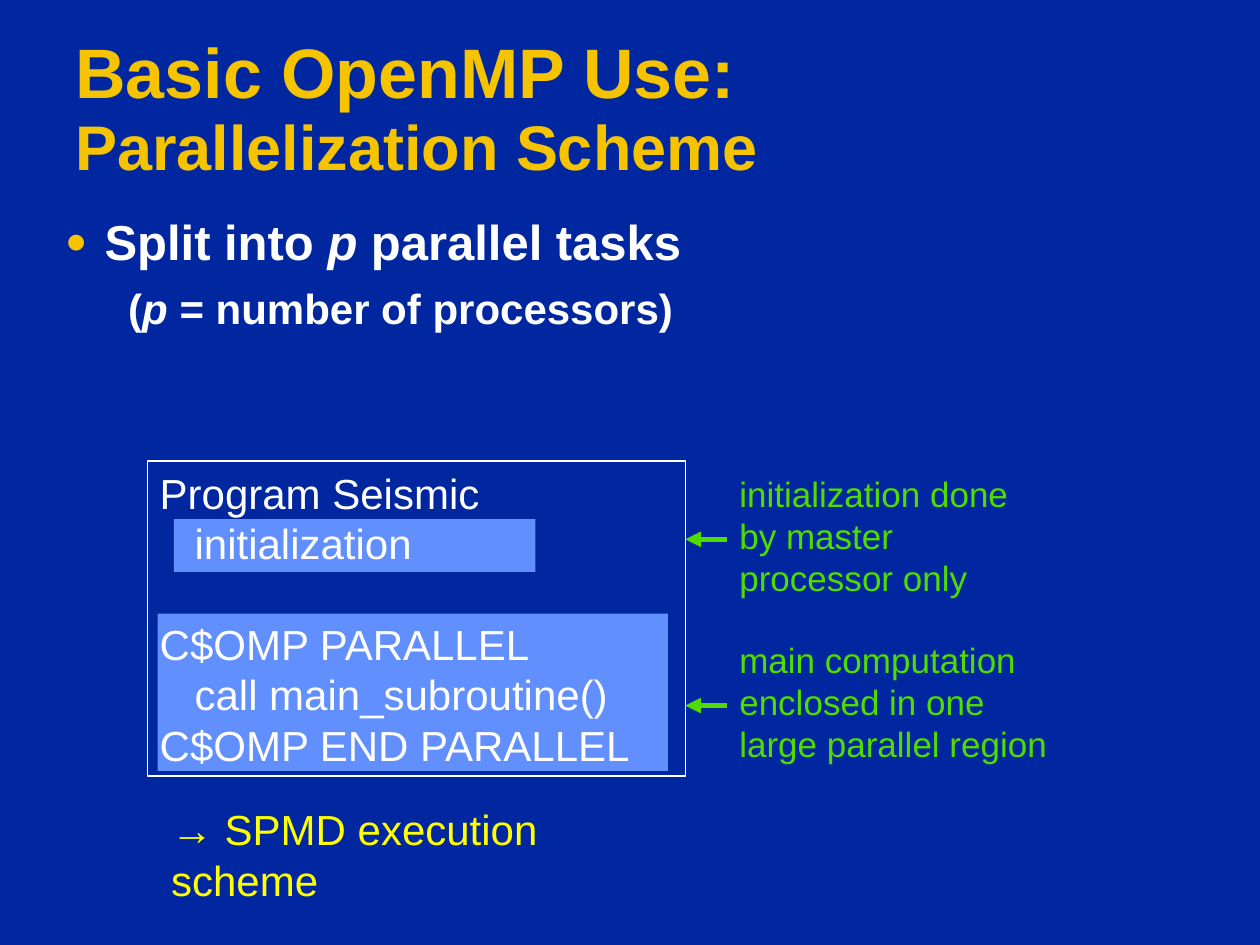
"""Build the slide on the basic OpenMP parallelization scheme."""
import pptx
import pptx.util
import pptx.dml.color
import pptx.enum.shapes
import pptx.enum.text
import pptx.oxml.ns
from lxml import etree

Pt = pptx.util.Pt
RGB = pptx.dml.color.RGBColor
qn = pptx.oxml.ns.qn
SHAPE = pptx.enum.shapes.MSO_SHAPE
ANCHOR = pptx.enum.text.MSO_ANCHOR

NAVY = RGB(0x00, 0x27, 0x9F)
BLUE = RGB(0x61, 0x8F, 0xFD)
GOLD = RGB(0xF5, 0xC3, 0x00)
WHITE = RGB(0xFF, 0xFF, 0xFF)
GREEN = RGB(0x51, 0xDC, 0x00)
YELLOW = RGB(0xFF, 0xFF, 0x00)

TITLE = [("Basic OpenMP Use:", 40), ("Parallelization Scheme", 36)]
BODY = [
    {"runs": [("Split into ", False), ("p", True), (" parallel tasks", False)],
     "size": 28, "left": 22.5, "indent": -22.5, "before": 0, "bullet": "●"},
    {"runs": [("(", False), ("p ", True), ("= number of processors)", False)],
     "size": 24, "left": 54, "indent": -18, "before": 9, "bullet": None},
]
CODE = [
    ("Program Seismic", 0),
    ("   initialization", 0),
    ("C$OMP PARALLEL", 1),
    ("   call main_subroutine()", 0),
    ("C$OMP END PARALLEL", 0),
]
HIGHLIGHTS = [(90, 350.6, 291.6, 90), (99.4, 296.6, 206.6, 30.2)]
NOTES = [
    ("initialization done by master processor only", 266.4, 169.2),
    ("main computation enclosed in one large parallel region", 361.4, 196.6),
]
CODE_BOX = (84.2, 263.5, 307.4, 180)
NOTE_LEFT, NOTE_HEIGHT, ARROW_DROP = 415.4, 79.2, 41.8
LEADING = 1.2


def add_run(p, text, size, color, bold=False, italic=False):
    r = p.add_run()
    r.text = text
    f = r.font
    f.name, f.size, f.bold, f.italic = "Arial", Pt(size), bold, italic
    f.color.rgb = color


def add_text(s, box, anchor=ANCHOR.TOP):
    tf = s.shapes.add_textbox(*map(Pt, box)).text_frame
    tf.word_wrap = True
    tf.vertical_anchor = anchor
    return tf


def add_rect(s, box):
    sp = s.shapes.add_shape(SHAPE.RECTANGLE, *map(Pt, box))
    sp.shadow.inherit = False
    return sp


def next_paragraph(tf, i):
    return tf.paragraphs[0] if i == 0 else tf.add_paragraph()


def set_bullet(p, item):
    pPr = p._p.get_or_add_pPr()
    pPr.set("marL", str(Pt(item["left"])))
    pPr.set("indent", str(Pt(item["indent"])))
    if item["bullet"]:
        clr = etree.SubElement(pPr, qn("a:buClr"))
        etree.SubElement(clr, qn("a:srgbClr"), val=str(GOLD))
        etree.SubElement(pPr, qn("a:buSzPct"), val="75000")
        etree.SubElement(pPr, qn("a:buFont"), typeface="Arial")
        etree.SubElement(pPr, qn("a:buChar"), char=item["bullet"])
    else:
        etree.SubElement(pPr, qn("a:buNone"))


def add_arrow(s, x1, x2, y):
    cn = s.shapes.add_connector(
        pptx.enum.shapes.MSO_CONNECTOR.STRAIGHT, Pt(x1), Pt(y), Pt(x2), Pt(y))
    cn.line.color.rgb = GREEN
    cn.line.width = Pt(3)
    etree.SubElement(cn.line._get_or_add_ln(), qn("a:tailEnd"), type="triangle")
    etree.SubElement(cn._element.spPr, qn("a:effectLst"))


def add_plain(s, box, text, size, color):
    p = add_text(s, box).paragraphs[0]
    p.line_spacing = Pt(size * LEADING)
    add_run(p, text, size, color)


def add_heading(s):
    p = add_text(s, (36, 19.4, 668.9, 90), ANCHOR.MIDDLE).paragraphs[0]
    p.line_spacing = Pt(40)
    for i, (text, size) in enumerate(TITLE):
        if i:
            p.add_line_break()
        add_run(p, text, size, GOLD, bold=True)


def add_body(s):
    tf = add_text(s, (30.2, 119.5, 670.3, 379.4))
    for i, item in enumerate(BODY):
        p = next_paragraph(tf, i)
        set_bullet(p, item)
        p.line_spacing = Pt(item["size"] * LEADING * 0.93)
        p.space_before = Pt(item["before"])
        for text, italic in item["runs"]:
            add_run(p, text, item["size"], WHITE, True, italic)


def add_code(s):
    sp = add_rect(s, CODE_BOX)
    sp.fill.background()
    sp.line.color.rgb = WHITE
    sp.line.width = Pt(0.75)
    tf = sp.text_frame
    tf.word_wrap = True
    tf.vertical_anchor = ANCHOR.TOP
    pitch = 24 * LEADING
    for i, (text, skipped) in enumerate(CODE):
        p = next_paragraph(tf, i)
        p.alignment = pptx.enum.text.PP_ALIGN.LEFT
        p.line_spacing = Pt(pitch)
        p.space_before = Pt(pitch * skipped)
        add_run(p, text, 24, WHITE)


def main():
    prs = pptx.Presentation()
    prs.slide_width, prs.slide_height = Pt(720), Pt(540)
    s = prs.slides.add_slide(prs.slide_layouts[6])
    s.background.fill.solid()
    s.background.fill.fore_color.rgb = NAVY
    for box in HIGHLIGHTS:
        sp = add_rect(s, box)
        sp.fill.solid()
        sp.fill.fore_color.rgb = BLUE
        sp.line.fill.background()
    add_heading(s)
    add_body(s)
    add_code(s)
    for text, top, width in NOTES:
        add_plain(s, (NOTE_LEFT, top, width, NOTE_HEIGHT), text, 20, GREEN)
        add_arrow(s, NOTE_LEFT, CODE_BOX[0] + CODE_BOX[2], top + ARROW_DROP)
    add_plain(s, (90.7, 455.8, 309.6, 36), "→ SPMD execution scheme", 24, YELLOW)
    prs.save("out.pptx")


if __name__ == "__main__":
    main()
